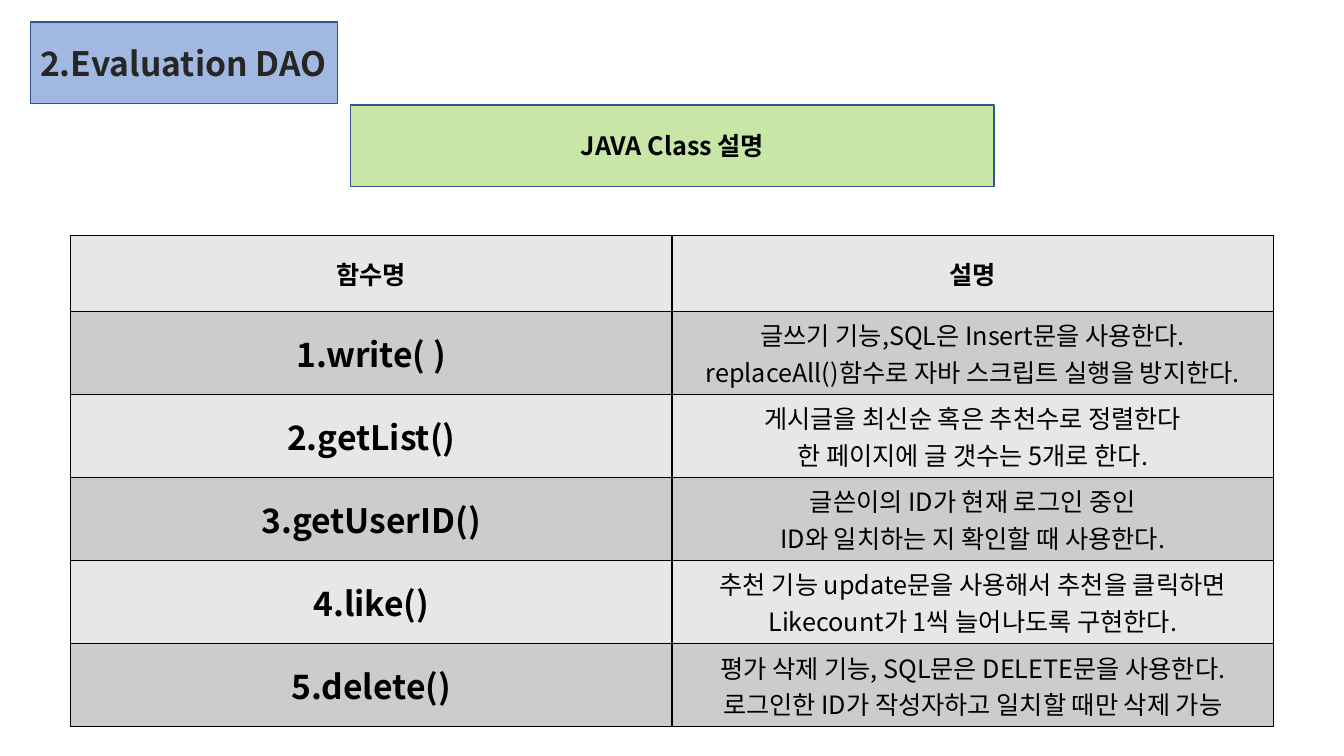
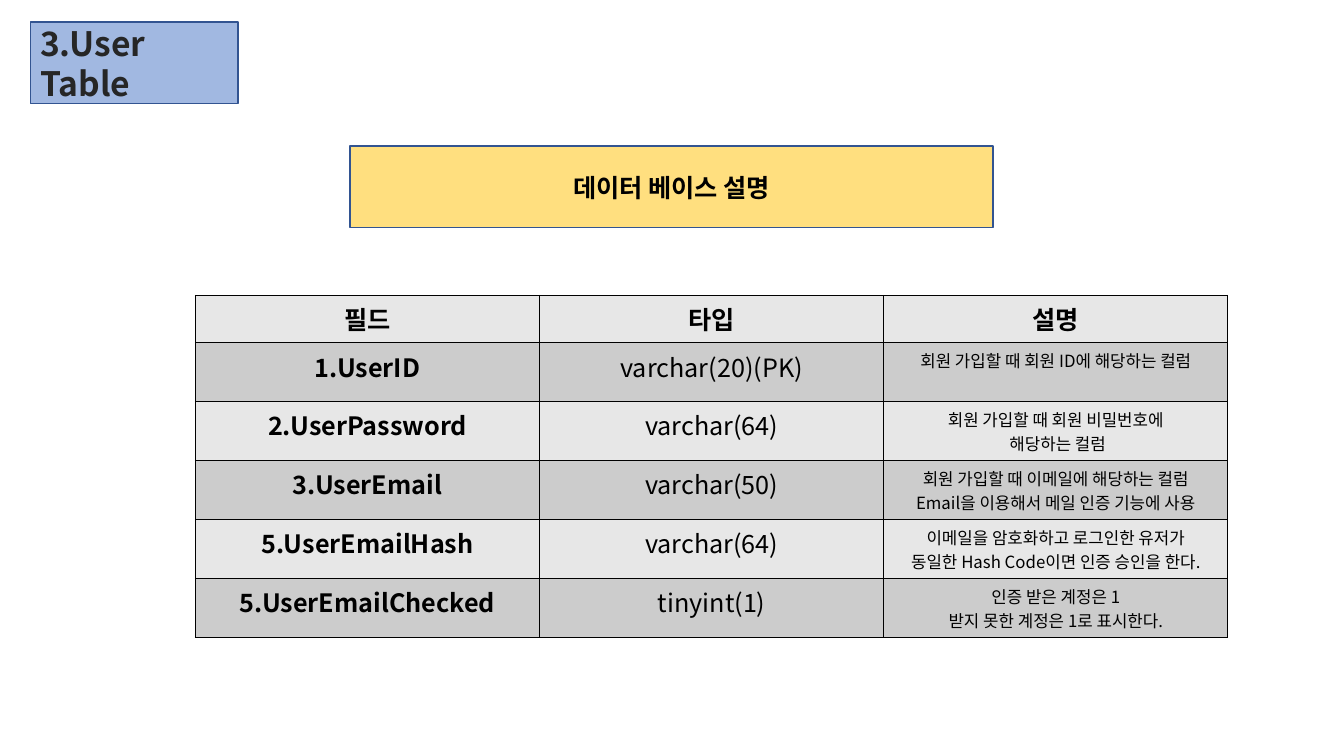
from dataclasses import dataclass

from lxml.etree import SubElement
from pptx import Presentation
from pptx.dml.color import RGBColor
from pptx.enum.shapes import MSO_SHAPE as Preset
from pptx.enum.text import MSO_ANCHOR as Anchor, PP_ALIGN as Align
from pptx.oxml.ns import qn
from pptx.slide import Slide
from pptx.table import _Cell as Cell
from pptx.text.text import TextFrame
from pptx.util import Emu, Inches, Pt

SLIDE_WIDTH = Inches(13.33)
SLIDE_HEIGHT = Inches(7.5)

WHITE = RGBColor(0xFF, 0xFF, 0xFF)
BLACK = RGBColor(0x00, 0x00, 0x00)
CHARCOAL = RGBColor(0x26, 0x26, 0x26)
BLUE = RGBColor(0x44, 0x72, 0xC4)
NAVY = RGBColor(0x32, 0x54, 0x91)
GREEN = RGBColor(0x92, 0xD0, 0x50)
AMBER = RGBColor(0xFF, 0xC0, 0x00)
ROW_FILLS = (RGBColor(0xE7, 0xE7, 0xE7), RGBColor(0xCC, 0xCC, 0xCC))

TITLE_FONT = "Noto Sans CJK SC"
BODY_FONT = "Noto Sans CJK KR"
BOX_OPACITY = 50
BOX_HEIGHT = 10.8
TITLE_LEFT, TITLE_TOP = 2.25, 2.93
BANNER_WIDTH = 47.86


@dataclass(frozen=True)
class TextStyle:
    size: int
    bold: bool = False
    font: str = BODY_FONT
    color: RGBColor = BLACK
    align: Align = Align.CENTER
    anchor: Anchor = Anchor.TOP


@dataclass(frozen=True)
class Box:
    text: str
    left: float
    top: float
    width: float
    fill: RGBColor
    style: TextStyle


@dataclass(frozen=True)
class Grid:
    left: float
    top: float
    width: float
    header_height: float
    row_height: float
    header_style: TextStyle
    column_styles: tuple[TextStyle, ...]
    rows: tuple[tuple[str, ...], ...]


@dataclass(frozen=True)
class Page:
    title: str
    title_width: float
    banner: Box
    grid: Grid


TITLE = TextStyle(24, True, TITLE_FONT, CHARCOAL, Align.LEFT, Anchor.MIDDLE)
HEADING = TextStyle(18, True, anchor=Anchor.MIDDLE)
FUNCTION_NAME = TextStyle(24, True, anchor=Anchor.MIDDLE)
FIELD_NAME = TextStyle(18, True)
BODY = TextStyle(18)
SMALL = TextStyle(12)

PAGES = (
    Page(
        "2.Evaluation DAO", 22.88,
        Box("JAVA Class 설명", 26.1, 13.87, BANNER_WIDTH, GREEN, HEADING),
        Grid(
            5.25, 31.2, 89.5, 10, 10.98, HEADING, (FUNCTION_NAME, BODY),
            (
                ("함수명", "설명"),
                ("1.write( )", "글쓰기 기능,SQL은 Insert문을 사용한다.\n"
                 "replaceAll()함수로 자바 스크립트 실행을 방지한다."),
                ("2.getList()", "게시글을 최신순 혹은 추천수로 정렬한다\n"
                 "한 페이지에 글 갯수는 5개로 한다."),
                ("3.getUserID()", "글쓴이의 ID가 현재 로그인 중인\n"
                 "ID와 일치하는 지 확인할 때 사용한다."),
                ("4.like()", "추천 기능 update문을 사용해서 추천을 클릭하면\n"
                 "Likecount가 1씩 늘어나도록 구현한다."),
                ("5.delete()", "평가 삭제 기능, SQL문은 DELETE문을 사용한다.\n"
                 "로그인한 ID가 작성자하고 일치할 때만 삭제 가능"),
            ),
        ),
    ),
    Page(
        "3.User Table", 15.45,
        Box("데이터 베이스 설명", 26.03, 19.33, BANNER_WIDTH, AMBER, HEADING),
        Grid(
            14.55, 39.07, 76.82, 6.27, 7.8, FIELD_NAME, (FIELD_NAME, BODY, SMALL),
            (
                ("필드", "타입", "설명"),
                ("1.UserID", "varchar(20)(PK)", "회원 가입할 때 회원 ID에 해당하는 컬럼"),
                ("2.UserPassword", "varchar(64)",
                 "회원 가입할 때 회원 비밀번호에\n 해당하는 컬럼"),
                ("3.UserEmail", "varchar(50)",
                 "회원 가입할 때 이메일에 해당하는 컬럼\n"
                 "Email을 이용해서 메일 인증 기능에 사용"),
                ("5.UserEmailHash", "varchar(64)",
                 "이메일을 암호화하고 로그인한 유저가\n"
                 "동일한 Hash Code이면 인증 승인을 한다."),
                ("5.UserEmailChecked", "tinyint(1)",
                 "인증 받은 계정은 1\n받지 못한 계정은 1로 표시한다."),
            ),
        ),
    ),
)


def across(percent: float) -> Emu:
    return Emu(round(SLIDE_WIDTH * percent / 100))


def down(percent: float) -> Emu:
    return Emu(round(SLIDE_HEIGHT * percent / 100))


def write_text(frame: TextFrame, text: str, style: TextStyle) -> None:
    font_format = {"size": Pt(style.size), "bold": style.bold, "name": style.font}
    frame.text = text
    for paragraph in frame.paragraphs:
        paragraph.alignment = style.align
        for run in paragraph.runs:
            for name, value in font_format.items():
                setattr(run.font, name, value)
            run.font.color.rgb = style.color
            east_asian = SubElement(run.font._element, qn("a:ea"))
            east_asian.set("typeface", style.font)


def draw_box(slide: Slide, box: Box) -> None:
    shape = slide.shapes.add_shape(
        Preset.RECTANGLE, across(box.left), down(box.top),
        across(box.width), down(BOX_HEIGHT))
    shape.shadow.inherit = False
    shape.fill.solid()
    shape.fill.fore_color.rgb = box.fill
    color = shape._element.spPr.find(qn("a:solidFill"))[0]
    SubElement(color, qn("a:alpha")).set("val", str(BOX_OPACITY * 1000))
    shape.line.color.rgb = NAVY
    shape.line.width = Pt(1)
    shape.text_frame.word_wrap = True
    shape.text_frame.vertical_anchor = box.style.anchor
    write_text(shape.text_frame, box.text, box.style)


def draw_borders(cell: Cell) -> None:
    properties = cell._tc.get_or_add_tcPr()
    for side in ("lnL", "lnR", "lnT", "lnB"):
        line = SubElement(properties, qn(f"a:{side}"), w=str(Pt(1)))
        fill = SubElement(line, qn("a:solidFill"))
        SubElement(fill, qn("a:srgbClr"), val=str(BLACK))


def draw_grid(slide: Slide, grid: Grid) -> None:
    row_count, column_count = len(grid.rows), len(grid.column_styles)
    height = grid.header_height + grid.row_height * (row_count - 1)
    table = slide.shapes.add_table(
        row_count, column_count, across(grid.left), down(grid.top),
        across(grid.width), down(height)).table
    for name in ("first_row", "horz_banding"):
        setattr(table, name, False)
    for column in table.columns:
        column.width = across(grid.width / column_count)
    for row_index, texts in enumerate(grid.rows):
        is_header = row_index == 0
        table.rows[row_index].height = down(
            grid.header_height if is_header else grid.row_height)
        for column_index, text in enumerate(texts):
            style = grid.header_style if is_header else grid.column_styles[column_index]
            cell = table.cell(row_index, column_index)
            draw_borders(cell)
            cell.fill.solid()
            cell.fill.fore_color.rgb = ROW_FILLS[row_index % 2]
            cell.vertical_anchor = style.anchor
            write_text(cell.text_frame, text, style)


def draw_page(slide: Slide, page: Page) -> None:
    slide.background.fill.solid()
    slide.background.fill.fore_color.rgb = WHITE
    draw_box(slide, Box(page.title, TITLE_LEFT, TITLE_TOP, page.title_width, BLUE, TITLE))
    draw_grid(slide, page.grid)
    draw_box(slide, page.banner)


def main() -> None:
    presentation = Presentation()
    presentation.slide_width = SLIDE_WIDTH
    presentation.slide_height = SLIDE_HEIGHT
    blank_layout = presentation.slide_layouts[6]
    for page in PAGES:
        draw_page(presentation.slides.add_slide(blank_layout), page)
    presentation.save("out.pptx")


main()
